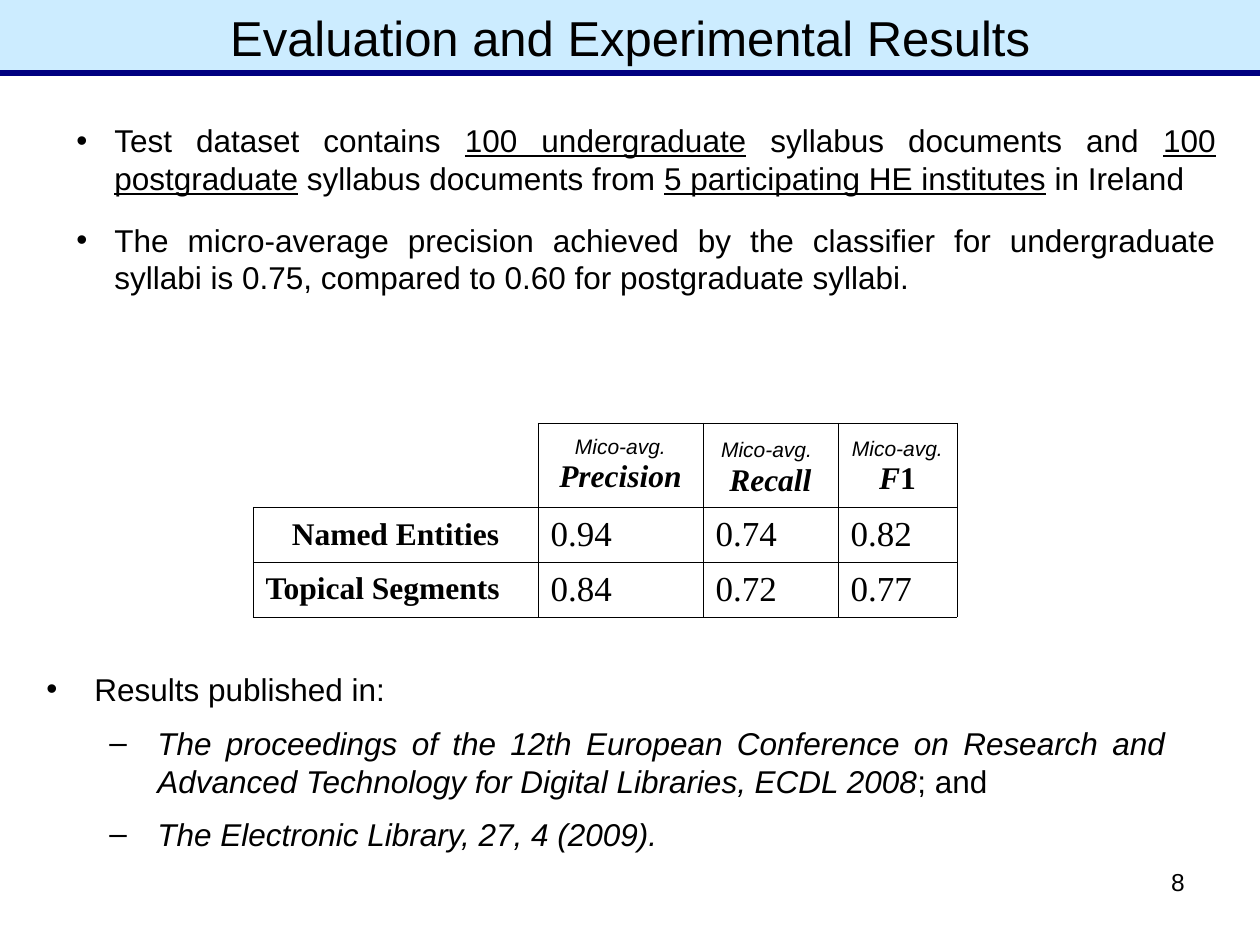
"""Build the evaluation and experimental results slide."""
from lxml import etree
from pptx import Presentation, util as u
from pptx.dml.color import RGBColor
from pptx.enum import shapes, text
from pptx.oxml.ns import qn

PX = 914400 // 126
ALIGN, ANCHOR = text.PP_ALIGN, text.MSO_ANCHOR
SERIF = "Times New Roman"
UNDER, ITALIC = {"underline": True}, {"italic": True}
SMALL = {"italic": True, "size": 12}
HEAD = {"name": SERIF, "bold": True, "italic": True}
LABEL = {"name": SERIF, "bold": True}
VALUE = {"name": SERIF, "size": 20}

TITLE = "Evaluation and Experimental Results"
FINDINGS = [
    (0, [("Test dataset contains ", {}), ("100 undergraduate", UNDER),
         (" syllabus documents and ", {}), ("100 postgraduate", UNDER),
         (" syllabus documents from ", {}), ("5 participating HE institutes", UNDER),
         (" in Ireland", {})]),
    (0, [("The micro-average precision achieved by the classifier for undergraduate "
          "syllabi is 0.75, compared to 0.60 for postgraduate syllabi.", {})]),
]
PUBLICATIONS = [
    (0, [("Results published in:", {})]),
    (1, [("The proceedings of the 12th European Conference on Research and Advanced "
          "Technology for Digital Libraries, ECDL 2008", ITALIC), ("; and", {})]),
    (1, [("The Electronic Library, 27, 4 (2009).", ITALIC)]),
]
MEASURES = [
    [[("Mico-avg.", SMALL)], [("Precision", HEAD)]],
    [[("Mico-avg.", SMALL), (" ", {"size": 16})], [("Recall", HEAD)]],
    [[("Mico-avg.", SMALL), (" ", {"size": 14})], [("F", HEAD), ("1", LABEL)]],
]
RESULTS = [
    ("Named Entities", ALIGN.CENTER, ["0.94", "0.74", "0.82"]),
    ("Topical Segments", ALIGN.LEFT, ["0.84", "0.72", "0.77"]),
]
COLUMNS, ROWS = [285, 165, 135, 119], [84, 54, 55]


def px(*lengths):
    return [u.Emu(length * PX) for length in lengths]


def color(value):
    return RGBColor.from_string(value)


def write(para, spans, **base):
    for words, style in spans:
        span = para.add_run()
        span.text = words
        look = {"name": "Arial", "size": 18, "bold": False, "italic": False, **base, **style}
        look["size"] = u.Pt(look["size"])
        for key, value in look.items():
            setattr(span.font, key, value)
        span.font.color.rgb = color("000000")


def indent(para, left, hang):
    props = para._p.get_or_add_pPr()
    props.set("marL", str(left * PX))
    props.set("indent", str(-hang * PX))
    return props


def add_box(page, at):
    box = page.shapes.add_textbox(*px(*at))
    box.text_frame.word_wrap = True
    return box.text_frame


def add_bullets(page, at, items, lefts, hang, space, anchor):
    frame = add_box(page, at)
    frame.vertical_anchor = anchor
    for index, (level, spans) in enumerate(items):
        para = frame.add_paragraph() if index else frame.paragraphs[0]
        props = indent(para, lefts[level], hang)
        etree.SubElement(props, qn("a:buFont"), typeface="Arial")
        etree.SubElement(props, qn("a:buChar"), char="•–"[level])
        para.level, para.alignment = level, ALIGN.JUSTIFY
        para.space_before = u.Pt(space if index else 0)
        para.space_after = u.Pt(space)
        write(para, spans)


def add_borders(cell, **colors):
    props = cell._tc.get_or_add_tcPr()
    for index, side in enumerate("LRTB"):
        white = side in colors
        line = etree.Element(qn(f"a:ln{side}"), w="5715" if white else "762")
        fill = etree.SubElement(line, qn("a:solidFill"))
        etree.SubElement(fill, qn("a:srgbClr"), val=colors.get(side, "000000"))
        props.insert(index, line)


def fill_cell(cell, lines, alignment):
    cell.vertical_anchor = ANCHOR.MIDDLE
    for index, spans in enumerate(lines):
        para = cell.text_frame.add_paragraph() if index else cell.text_frame.paragraphs[0]
        indent(para, 48, 48)
        para.alignment = alignment
        write(para, spans)


def add_scores(page):
    size = px(253, 423, sum(COLUMNS), sum(ROWS))
    table = page.shapes.add_table(len(ROWS), len(COLUMNS), *size).table
    table.first_row = table.horz_banding = False
    for column, width in zip(table.columns, px(*COLUMNS)):
        column.width = width
    for row, height in zip(table.rows, px(*ROWS)):
        row.height = height
    for cell in table.iter_cells():
        cell.fill.background()
        corner = cell is not None and cell._tc is table.cell(0, 0)._tc
        add_borders(cell, **({"L": "FFFFFF", "T": "FFFFFF"} if corner else {}))
    for column, lines in enumerate(MEASURES, 1):
        fill_cell(table.cell(0, column), lines, ALIGN.CENTER)
    for row, (label, alignment, values) in enumerate(RESULTS, 1):
        fill_cell(table.cell(row, 0), [[(label, LABEL)]], alignment)
        for column, value in enumerate(values, 1):
            fill_cell(table.cell(row, column), [[(value, VALUE)]], ALIGN.JUSTIFY)


def add_title(page):
    title = page.shapes.title
    title.left, title.top, title.width, title.height = px(0, 0, 1260, 73)
    title.fill.solid()
    title.fill.fore_color.rgb = color("CCECFF")
    title.text_frame.vertical_anchor = ANCHOR.MIDDLE
    para = title.text_frame.paragraphs[0]
    para.alignment = ALIGN.CENTER
    write(para, [(TITLE, {})], size=28)
    rule = page.shapes.add_connector(shapes.MSO_CONNECTOR.STRAIGHT, *px(0, 73, 1260, 73))
    rule.line.color.rgb, rule.line.width = color("000080"), u.Pt(3)
    etree.SubElement(rule._element.spPr, qn("a:effectLst"))


def main():
    deck = Presentation()
    deck.slide_width, deck.slide_height = px(1260, 945)
    page = deck.slides.add_slide(deck.slide_layouts[5])
    add_title(page)
    add_bullets(page, (64, 115, 1164, 287), FINDINGS, [38], 38, 6.8, ANCHOR.TOP)
    add_scores(page)
    add_bullets(page, (34, 664, 1144, 195), PUBLICATIONS, [48, 111], 48, 4.5, ANCHOR.MIDDLE)
    number = add_box(page, (903, 861, 294, 66)).paragraphs[0]
    number.alignment = ALIGN.RIGHT
    write(number, [("8", {})], size=14)
    deck.save("out.pptx")


if __name__ == "__main__":
    main()
